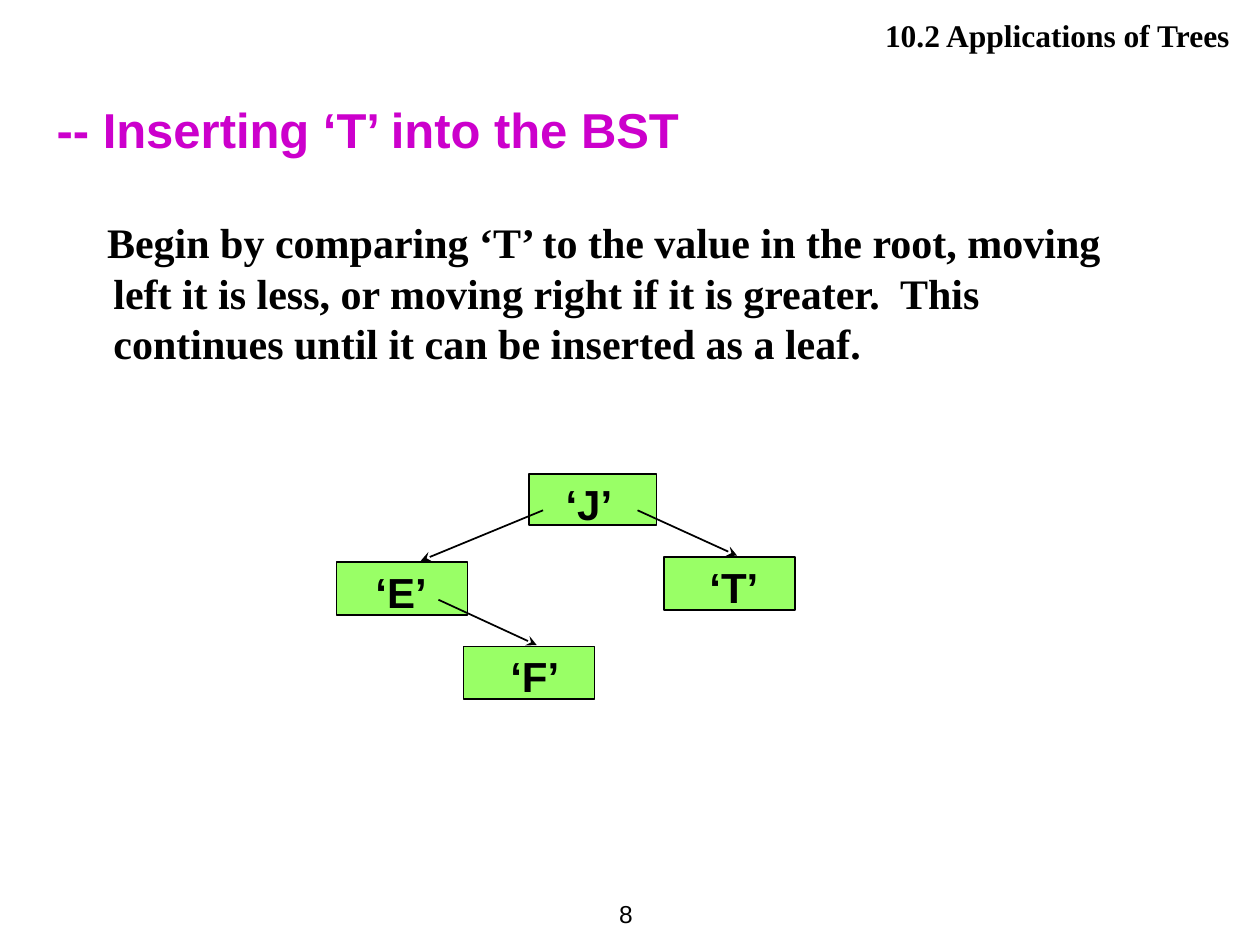
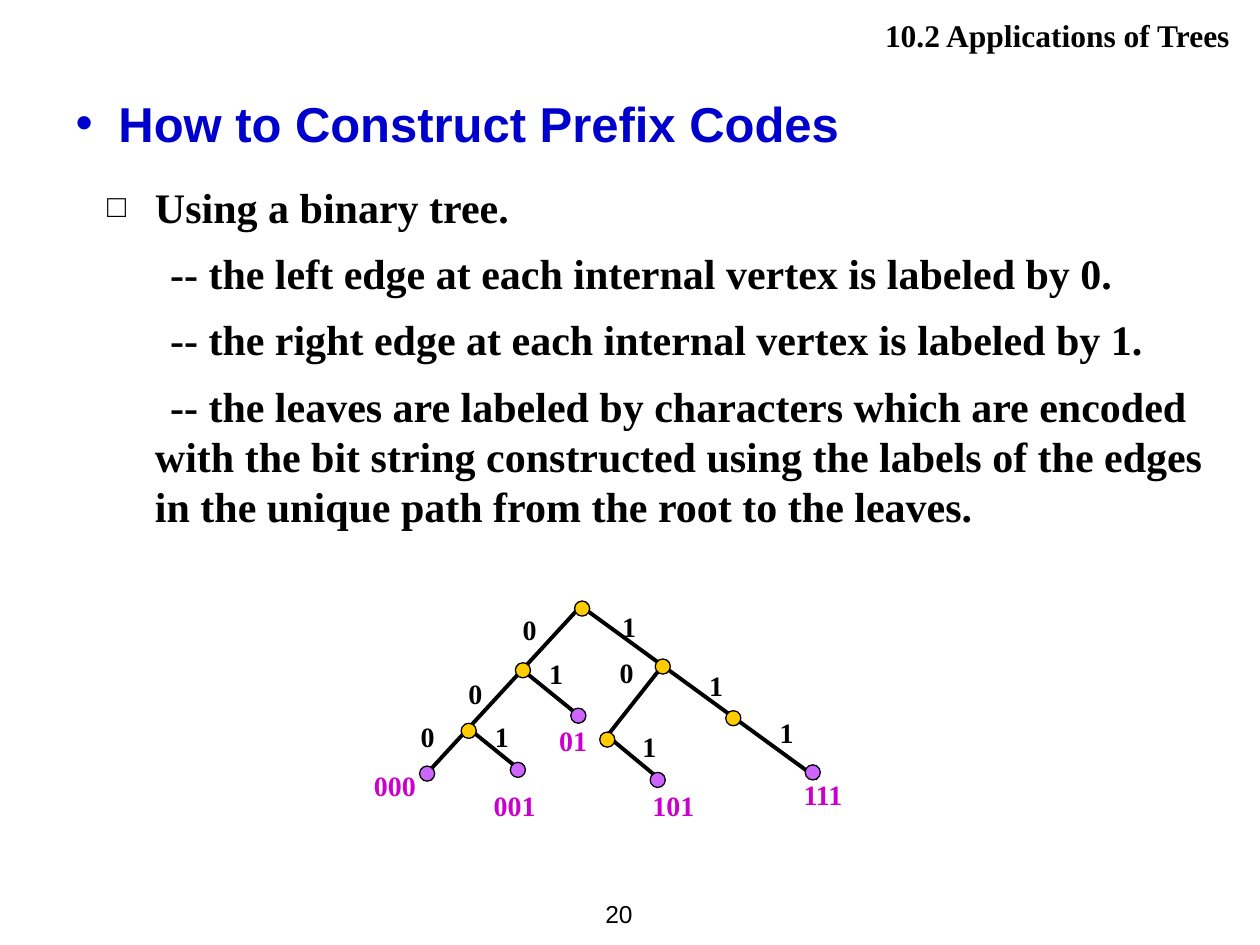
from dataclasses import dataclass

from lxml.etree import SubElement
from pptx import Presentation
from pptx.dml.color import RGBColor
from pptx.enum.shapes import MSO_CONNECTOR as Link, MSO_SHAPE as Shape
from pptx.enum.text import MSO_ANCHOR as Anchor, MSO_AUTO_SIZE as Fit, PP_ALIGN as Align
from pptx.oxml.ns import qn
from pptx.util import Inches, Pt


@dataclass(frozen=True)
class Theme:
    """Colours, fonts and type sizes of the deck."""
    ink: str = "000000"
    pink: str = "CC00CC"
    blue: str = "0000CC"
    green: str = "99FF66"
    gold: str = "FFCC00"
    plum: str = "CC66FF"
    sans: str = "Arial"
    serif: str = "Times New Roman"
    title: int = 28
    body: int = 24
    head: int = 18
    code: int = 16
    page: int = 14


T = Theme()

NODES = [
    ("‘J’", (1.53, 0.01, 1.01, 0.41), (1.72, 0, 0.57), 0.1, None),
    ("‘E’", (0, 0.71, 1.04, 0.42), (0.12, 0.7, 0.7), 0.19, ((0.67, 0.7), (1.64, 0.3))),
    ("‘F’", (1.01, 1.38, 1.04, 0.42), (1.19, 1.36, 0.68), 0.19, ((1.59, 1.37), (0.81, 1.01))),
    ("‘T’", (2.6, 0.67, 1.04, 0.42), (2.77, 0.66, 0.68), 0.19, ((3.18, 0.66), (2.39, 0.3))),
]
EDGES = [
    ((1.81, 0.11), (0.55, 1.48)), ((1.81, 0.11), (3.69, 1.48)),
    ((1.35, 0.62), (1.77, 0.96)), ((0.93, 1.09), (1.35, 1.43)),
    ((2.43, 0.62), (2.02, 1.14)), ((2.02, 1.14), (2.43, 1.48)),
]
DOTS = {
    "": (1.76, 0.07), "0": (1.29, 0.56), "00": (0.86, 1.04), "000": (0.53, 1.38),
    "001": (1.25, 1.35), "01": (1.73, 0.92), "101": (2.36, 1.43), "10": (1.96, 1.11),
    "1": (2.4, 0.53), "11": (2.96, 0.94), "111": (3.59, 1.37),
}
BITS = {
    "111": (3.29, 0.93), "11": (2.73, 0.56), "1": (2.04, 0.09), "101": (2.2, 1.04),
    "001": (1.03, 0.96), "01": (1.46, 0.46), "000": (0.44, 0.96), "00": (0.82, 0.62),
    "10": (2.02, 0.45), "0": (1.25, 0.11),
}
LEAVES = {
    "01": (1.54, 0.99), "000": (0.07, 1.35), "001": (1.02, 1.51),
    "101": (2.28, 1.51), "111": (3.48, 1.42),
}


def color(code):
    """Turn a hex code into a colour."""
    return RGBColor.from_string(code)


def shift(base, spot):
    """Move a point by the corner of its box."""
    return base[0] + spot[0], base[1] + spot[1]


def style(para, size, face, tint=T.ink, bold=True, align=Align.LEFT, before=0):
    """Set the font, alignment and space of a paragraph."""
    font = para.font
    font.size, font.name, font.bold = Pt(size), face, bold
    font.color.rgb = color(tint)
    para.alignment, para.space_before = align, Pt(before)


def mark(para, left=0, first=0, sign=None, tint=T.ink, scale=100):
    """Set the indents and the bullet of a paragraph."""
    props = para._p.get_or_add_pPr()
    props.set("marL", str(Inches(left)))
    props.set("indent", str(Inches(first)))
    if not sign:
        SubElement(props, qn("a:buNone"))
        return
    SubElement(SubElement(props, qn("a:buClr")), qn("a:srgbClr"), val=tint)
    SubElement(props, qn("a:buSzPct"), val=str(scale * 1000))
    SubElement(props, qn("a:buFont"), typeface=T.sans)
    SubElement(props, qn("a:buChar"), char=sign)


def label(parts, text, box, size, face, wrap=True, pad=(0.1, 0.1), anchor=Anchor.TOP, **look):
    """Add a line of text in a box."""
    frame = parts.add_textbox(*map(Inches, box)).text_frame
    frame.word_wrap, frame.vertical_anchor = wrap, anchor
    frame.margin_left, frame.margin_right = map(Inches, pad)
    frame.text = text
    style(frame.paragraphs[0], size, face, **look)


def solid(parts, kind, box, fill, width):
    """Add a filled shape with a dark outline."""
    shape = parts.add_shape(kind, *map(Inches, box))
    shape.shadow.inherit = False
    shape.fill.solid()
    shape.fill.fore_color.rgb = color(fill)
    shape.line.color.rgb, shape.line.width = color(T.ink), Pt(width)


def line(parts, start, end, width, head=None):
    """Add a straight line, with an arrowhead at its start if asked."""
    link = parts.add_connector(Link.STRAIGHT, *map(Inches, (*start, *end)))
    link.line.color.rgb, link.line.width = color(T.ink), Pt(width)
    props = link.element.spPr
    if head:
        SubElement(props.find(qn("a:ln")), qn("a:headEnd"), type=head)
    SubElement(props, qn("a:effectLst"))


def fill(holder, box, lines, anchor=Anchor.TOP):
    """Place a placeholder, write its lines and return the paragraphs."""
    holder.left, holder.top, holder.width, holder.height = map(Inches, box)
    frame = holder.text_frame
    frame.text = "\n".join(lines)
    frame.word_wrap, frame.auto_size, frame.vertical_anchor = True, Fit.NONE, anchor
    return frame.paragraphs


def start(deck, page):
    """Add a slide with its header and page number."""
    slide = deck.slides.add_slide(deck.slide_layouts[1])
    label(slide.shapes, "10.2 Applications of Trees", (3.98, 0.08, 5.94, 0.4),
          T.head, T.serif, pad=(0.1, 0.16), align=Align.RIGHT, before=11.2)
    label(slide.shapes, page, (4.45, 7, 0.67, 0.5), T.page, T.sans, wrap=False,
          anchor=Anchor.MIDDLE, bold=False, align=Align.RIGHT)
    return slide


def search(shapes, base):
    """Draw the search tree from the corner given."""
    for text, box, (x, y, wide), pad, arrow in NODES:
        parts = shapes.add_group_shape().shapes
        solid(parts, Shape.RECTANGLE, (*shift(base, box), *box[2:]), T.green, 1)
        if arrow:
            child, parent = arrow
            line(parts, shift(base, child), shift(base, parent), 1, "stealth")
        label(parts, text, (*shift(base, (x, y)), wide, 0.5), T.body, T.sans,
              wrap=False, pad=(pad, 0.1))


def prefix(shapes, base):
    """Draw the prefix code tree from the corner given."""
    parts = shapes.add_group_shape().shapes
    for top, end in EDGES:
        line(parts, shift(base, top), shift(base, end), 2.25)
    for code, spot in BITS.items():
        label(parts, code[-1], (*shift(base, spot), 0.63, 0.52), T.code, T.serif,
              align=Align.JUSTIFY)
    for code, spot in LEAVES.items():
        label(parts, code, (*shift(base, spot), 0.84, 0.52), T.code, T.serif,
              tint=T.pink, align=Align.JUSTIFY)
    for code, spot in DOTS.items():
        tint = T.plum if code in LEAVES else T.gold
        solid(parts, Shape.OVAL, (*shift(base, spot), 0.12, 0.12), tint, 0.75)


def insert(deck):
    """Build the slide on inserting into a search tree."""
    slide = start(deck, "8")
    title, = fill(slide.shapes.title, (0.35, 0.6, 9.17, 0.71),
                  ["-- Inserting ‘T’ into the BST"], Anchor.BOTTOM)
    style(title, T.title, T.sans, T.pink)
    body, = fill(slide.placeholders[1], (0.42, 1.67, 8.88, 1.38), [
        "Begin by comparing ‘T’ to the value in the root, moving left it is less, "
        "or moving right if it is greater.  This continues until it can be "
        "inserted as a leaf."])
    style(body, T.body, T.serif, before=6)
    mark(body, 0.38, -0.05)
    search(slide.shapes, (2.67, 3.75))


def encode(deck):
    """Build the slide on constructing prefix codes."""
    slide = start(deck, "20")
    title, = fill(slide.shapes.title, (0.5, 0.69, 9, 0.93),
                  ["How to Construct Prefix Codes"])
    style(title, T.title, T.sans, T.blue)
    mark(title, 0.34, -0.34, "•", T.blue)
    lead, *rest = fill(slide.placeholders[1], (0.75, 1.39, 8.9, 3.54), [
        "Using a binary tree.",
        "-- the left edge at each internal vertex is labeled by 0.",
        "-- the right edge at each internal vertex is labeled by 1.",
        "-- the leaves are labeled by characters which are encoded with the bit "
        "string constructed using the labels of the edges in the unique path "
        "from the root to the leaves."])
    style(lead, T.body, T.serif, before=15)
    mark(lead, 0.38, -0.38, "□", scale=75)
    for para in rest:
        style(para, T.body, T.serif, before=9)
        mark(para, 0.38, 0.12)
    prefix(slide.shapes, (2.8, 4.7))


def main():
    """Build and save the deck."""
    deck = Presentation()
    deck.slide_width, deck.slide_height = Inches(10), Inches(7.5)
    insert(deck)
    encode(deck)
    deck.save("out.pptx")


if __name__ == "__main__":
    main()
